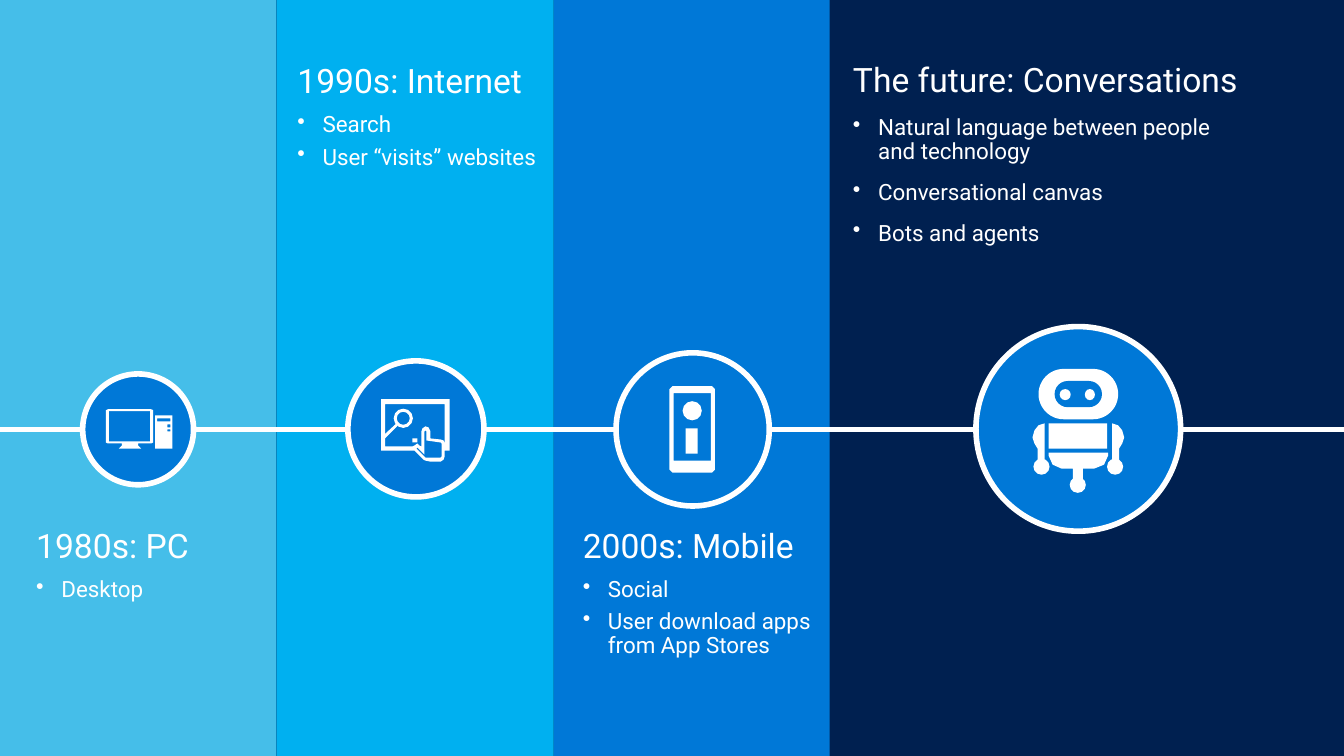
from dataclasses import dataclass

from lxml import etree
from pptx import Presentation
from pptx import util as u
from pptx.dml.color import RGBColor
from pptx.enum import shapes, text
from pptx.oxml import ns
from pptx.shapes.autoshape import Shape
from pptx.shapes.shapetree import GroupShapes, SlideShapes
from pptx.slide import Slide
from pptx.text.text import TextFrame

PX = 9144
FONT = "Roboto"
WHITE = RGBColor(0xFF, 0xFF, 0xFF)
NAVY = RGBColor(0x00, 0x20, 0x50)
BLUE = RGBColor(0x00, 0x78, 0xD7)
CYAN = RGBColor(0x00, 0xB0, 0xF0)
SKY = RGBColor(0x45, 0xBE, 0xE9)

RECTANGLE = shapes.MSO_SHAPE.RECTANGLE
ROUNDED = shapes.MSO_SHAPE.ROUNDED_RECTANGLE
OVAL = shapes.MSO_SHAPE.OVAL
DONUT = shapes.MSO_SHAPE.DONUT

Box = tuple[int, int, int, int]
Contour = list[tuple[int, int]]


@dataclass(frozen=True)
class Column:
    left: int
    width: int
    color: RGBColor


@dataclass(frozen=True)
class Era:
    box: Box
    insets: Box
    heading: str
    bullets: list[str]
    heading_after: float = 9
    bullet_before: float = 0
    bullet_after: float = 5.9


@dataclass(frozen=True)
class Preset:
    kind: shapes.MSO_SHAPE
    box: Box
    color: RGBColor = WHITE
    adjustment: float | None = None
    outline: float = 0


@dataclass(frozen=True)
class Outline:
    contours: list[Contour]
    outline: float = 0


@dataclass(frozen=True)
class Icon:
    circle: Box
    pieces: list[Preset | Outline]


def block(left: int, top: int, width: int, height: int) -> Contour:
    right, bottom = left + width, top + height
    return [(left, top), (right, top), (right, bottom), (left, bottom)]


def mirrored(contour: Contour, axis_doubled: int) -> Contour:
    return [(axis_doubled - x, y) for x, y in contour]


COLUMNS = [Column(549, 274, BLUE), Column(274, 275, CYAN), Column(0, 274, SKY)]

ERAS = [
    Era((826, 53, 468, 209), (20, 10, 20, 16), "The future: Conversations",
        ["Natural language between people\nand technology", "Conversational canvas", "Bots and agents"],
        heading_after=0, bullet_before=11.8, bullet_after=0),
    Era((549, 525, 274, 176), (29, 0, 0, 0), "2000s: Mobile",
        ["Social", "User download apps from App Stores"]),
    Era((274, 54, 270, 320), (21, 10, 0, 0), "1990s: Internet",
        ["Search", "User “visits” websites"]),
    Era((25, 525, 250, 157), (11, 0, 0, 0), "1980s: PC", ["Desktop"]),
]

BROWSER = [
    [(446, 447), (441, 447), (441, 453), (440, 456), (437, 458), (427, 458), (422, 457),
     (420, 456), (411, 447), (378, 447), (378, 396), (446, 396)],
    [(438, 447), (438, 440), (437, 439), (423, 437), (423, 428), (422, 427), (421, 428),
     (421, 451), (414, 444), (413, 445), (422, 454), (437, 454), (438, 453)],
    [(441, 401), (382, 401), (382, 443), (409, 443), (411, 442), (414, 440), (416, 442),
     (418, 443), (418, 428), (419, 425), (422, 423), (425, 424), (427, 428), (427, 435),
     (437, 436), (440, 437), (441, 440)],
    block(409, 435, 5, 4),
]
MONITOR = [
    [(107, 406), (150, 406), (152, 407), (152, 439), (150, 440), (137, 440), (137, 442),
     (140, 445), (118, 445), (121, 442), (121, 440), (107, 440), (105, 439), (105, 407)],
    block(108, 408, 41, 30),
]
TOWER = [block(154, 412, 17, 33), block(156, 415, 13, 3), block(166, 421, 3, 3), block(166, 426, 3, 2)]
PHONE = [
    [(667, 383), (706, 383), (709, 386), (709, 466), (706, 469), (667, 469), (664, 466), (664, 386)],
    block(668, 390, 37, 67),
]
ROBOT_HIPS = [
    (1040, 449), (1099, 449), (1099, 452), (1095, 461), (1085, 465), (1074, 465), (1074, 476),
    (1064, 476), (1064, 465), (1053, 465), (1044, 461), (1040, 452),
]
ROBOT_ARM = [
    (1036, 420), (1030, 422), (1026, 427), (1024, 434), (1026, 440), (1029, 445), (1029, 457), (1036, 457),
]

ICONS = [
    Icon((345, 358, 135, 135), [
        Preset(DONUT, (391, 406, 18, 18), adjustment=0.11, outline=0.75),
        Outline([[(393, 421), (380, 433), (381, 435), (394, 422)]], outline=0.75),
        Outline(BROWSER),
    ]),
    Icon((82, 371, 110, 110), [Outline(TOWER), Outline(MONITOR)]),
    Icon((611, 350, 152, 152), [
        Outline(PHONE),
        Preset(OVAL, (677, 398, 19, 19)),
        Preset(RECTANGLE, (680, 425, 12, 25)),
    ]),
    Icon((968, 324, 203, 203), [
        Preset(ROUNDED, (1030, 366, 79, 50), adjustment=0.5),
        Preset(ROUNDED, (1046, 378, 47, 26), BLUE, adjustment=0.5),
        Preset(OVAL, (1051, 386, 11, 11)),
        Preset(OVAL, (1076, 386, 10, 11)),
        Outline([ROBOT_HIPS]),
        Preset(OVAL, (1061, 473, 16, 16)),
        Preset(RECTANGLE, (1040, 420, 58, 25)),
        Outline([ROBOT_ARM]),
        Preset(OVAL, (1025, 455, 16, 16)),
        Outline([mirrored(ROBOT_ARM, 2139)]),
        Preset(OVAL, (1098, 455, 16, 16)),
    ]),
]


def paint(shape: Shape, color: RGBColor, outline: float = 0) -> None:
    shape.shadow.inherit = False
    shape.fill.solid()
    shape.fill.fore_color.rgb = color
    if outline:
        shape.line.color.rgb = WHITE
        shape.line.width = u.Pt(outline)
    else:
        shape.line.fill.background()


def draw_preset(tree: SlideShapes | GroupShapes, preset: Preset) -> None:
    shape = tree.add_shape(preset.kind, *(value * PX for value in preset.box))
    if preset.adjustment is not None:
        shape.adjustments[0] = preset.adjustment
    paint(shape, preset.color, preset.outline)


def draw_outline(tree: GroupShapes, piece: Outline) -> None:
    first, *others = piece.contours
    builder = tree.build_freeform(*first[0], scale=PX)
    builder.add_line_segments(first[1:], close=True)
    for contour in others:
        builder.move_to(*contour[0])
        builder.add_line_segments(contour[1:], close=True)
    paint(builder.convert_to_shape(), WHITE, piece.outline)


def draw_icon(slide: Slide, icon: Icon) -> None:
    tree = slide.shapes.add_group_shape().shapes
    draw_preset(tree, Preset(OVAL, icon.circle, BLUE, outline=4))
    for piece in icon.pieces:
        if isinstance(piece, Preset):
            draw_preset(tree, piece)
        else:
            draw_outline(tree, piece)


def add_paragraph(frame: TextFrame, content: str, size: int, before: float, after: float, bullet: bool) -> None:
    paragraph = frame.add_paragraph() if bullet else frame.paragraphs[0]
    if bullet:
        properties = paragraph._p.get_or_add_pPr()
        properties.set("marL", str(25 * PX))
        properties.set("indent", str(-25 * PX))
        etree.SubElement(properties, ns.qn("a:buChar")).set("char", "•")
    paragraph.line_spacing = 0.9
    paragraph.space_before = u.Pt(before)
    paragraph.space_after = u.Pt(after)
    for index, line in enumerate(content.split("\n")):
        if index:
            paragraph.add_line_break()
        run = paragraph.add_run()
        run.text = line
        run.font.name = FONT
        run.font.size = u.Pt(size)
        run.font.color.rgb = WHITE


def draw_era(slide: Slide, era: Era) -> None:
    frame = slide.shapes.add_textbox(*(value * PX for value in era.box)).text_frame
    frame.word_wrap = True
    frame.vertical_anchor = text.MSO_ANCHOR.TOP
    frame.margin_left, frame.margin_top, frame.margin_right, frame.margin_bottom = (
        value * PX for value in era.insets
    )
    add_paragraph(frame, era.heading, 24, 0, era.heading_after, False)
    for bullet in era.bullets:
        add_paragraph(frame, bullet, 16, era.bullet_before, era.bullet_after, True)


def draw_timeline(slide: Slide) -> None:
    line = slide.shapes.add_connector(shapes.MSO_CONNECTOR.STRAIGHT, 0, 426 * PX, 1333 * PX, 426 * PX)
    line.line.color.rgb = WHITE
    line.line.width = u.Pt(4)
    etree.SubElement(line._element.spPr, ns.qn("a:effectLst"))


def main() -> None:
    presentation = Presentation()
    presentation.slide_width, presentation.slide_height = 1333 * PX, 750 * PX
    slide = presentation.slides.add_slide(presentation.slide_layouts[6])
    slide.background.fill.solid()
    slide.background.fill.fore_color.rgb = NAVY
    for column in COLUMNS:
        draw_preset(slide.shapes, Preset(RECTANGLE, (column.left, 0, column.width, 750), column.color))
    for era in ERAS:
        draw_era(slide, era)
    draw_timeline(slide)
    for icon in ICONS:
        draw_icon(slide, icon)
    presentation.save("out.pptx")


if __name__ == "__main__":
    main()
